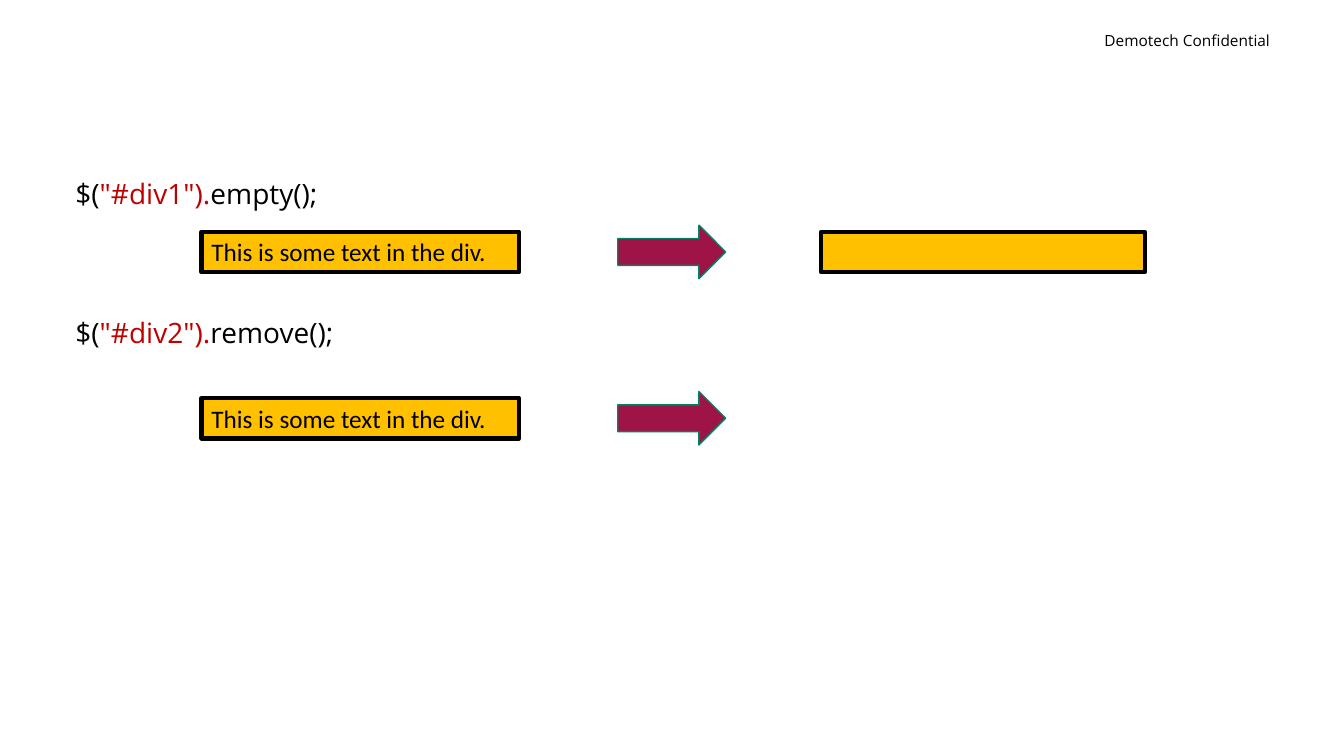
import pptx
import pptx.util
from pptx.util import Cm, Pt
from pptx.dml.color import RGBColor
from pptx.enum.shapes import MSO_SHAPE
from pptx.enum.text import MSO_ANCHOR, PP_ALIGN

BLACK = RGBColor(0x00, 0x00, 0x00)
RED = RGBColor(0xC0, 0x00, 0x00)
AMBER = RGBColor(0xFF, 0xC0, 0x00)
CRIMSON = RGBColor(0x9F, 0x14, 0x46)
GREEN = RGBColor(0x00, 0x83, 0x65)

CONFIDENTIAL = "Demotech Confidential"
DIV_TEXT = "This is some text in the div."
CALLS = [
    [("$(", BLACK), ('"#div1").', RED), ("empty();", BLACK)],
    [("$(", BLACK), ('"#div2").', RED), ("remove();", BLACK)],
]
# Text of the div before and after each call; None means the div is gone
DIVS = [(DIV_TEXT, ""), (DIV_TEXT, None)]

ROW_TOP, ROW_PITCH = 5.84, 4.19
DIV_HEIGHT = 1.02
BEFORE_LEFT, BEFORE_WIDTH = 5.08, 8
AFTER_LEFT, AFTER_WIDTH = 20.7, 8.15
ARROW_LEFT, ARROW_WIDTH, ARROW_HEIGHT = 15.57, 2.72, 1.35


def add_run(p, text, font, size, color):
    r = p.add_run()
    r.text = text
    r.font.name = font
    r.font.size = Pt(size)
    r.font.color.rgb = color


def add_text_box(s, left, top, width, height):
    tf = s.shapes.add_textbox(Cm(left), Cm(top), Cm(width), Cm(height)).text_frame
    tf.word_wrap = True
    return tf


def add_block(s, kind, left, top, width, height, fill, line, weight):
    sp = s.shapes.add_shape(kind, Cm(left), Cm(top), Cm(width), Cm(height))
    sp.shadow.inherit = False
    sp.fill.solid()
    sp.fill.fore_color.rgb = fill
    sp.line.color.rgb = line
    sp.line.width = Pt(weight)
    return sp


def add_div(s, left, top, width, text):
    sp = add_block(s, MSO_SHAPE.RECTANGLE, left, top, width, DIV_HEIGHT, AMBER, BLACK, 3)
    if text:
        tf = sp.text_frame
        tf.word_wrap = True
        tf.vertical_anchor = MSO_ANCHOR.TOP
        p = tf.paragraphs[0]
        p.alignment = PP_ALIGN.LEFT
        add_run(p, text, "Calibri", 18, BLACK)


def main():
    prs = pptx.Presentation()
    prs.slide_width, prs.slide_height = Cm(33.87), Cm(19.05)
    s = prs.slides.add_slide(prs.slide_layouts[6])

    p = add_text_box(s, 26.37, 0.66, 5.89, 0.74).paragraphs[0]
    p.alignment = PP_ALIGN.RIGHT
    add_run(p, CONFIDENTIAL, "Open Sans", 11, BLACK)

    tf = add_text_box(s, 1.9, 4.42, 14.38, 10.82)
    tf.margin_left = 0
    for i, call in enumerate(CALLS):
        p = tf.add_paragraph() if i else tf.paragraphs[0]
        p.line_spacing = 0.9
        p.space_before = Pt(78 if i else 0)
        for text, color in call:
            add_run(p, text, "Open Sans", 20, color)

    for i, (before, after) in enumerate(DIVS):
        top = ROW_TOP + i * ROW_PITCH
        add_div(s, BEFORE_LEFT, top, BEFORE_WIDTH, before)
        add_block(s, MSO_SHAPE.RIGHT_ARROW, ARROW_LEFT, top + (DIV_HEIGHT - ARROW_HEIGHT) / 2,
                  ARROW_WIDTH, ARROW_HEIGHT, CRIMSON, GREEN, 1)
        if after is not None:
            add_div(s, AFTER_LEFT, top, AFTER_WIDTH, after)

    prs.save("out.pptx")


if __name__ == "__main__":
    main()
